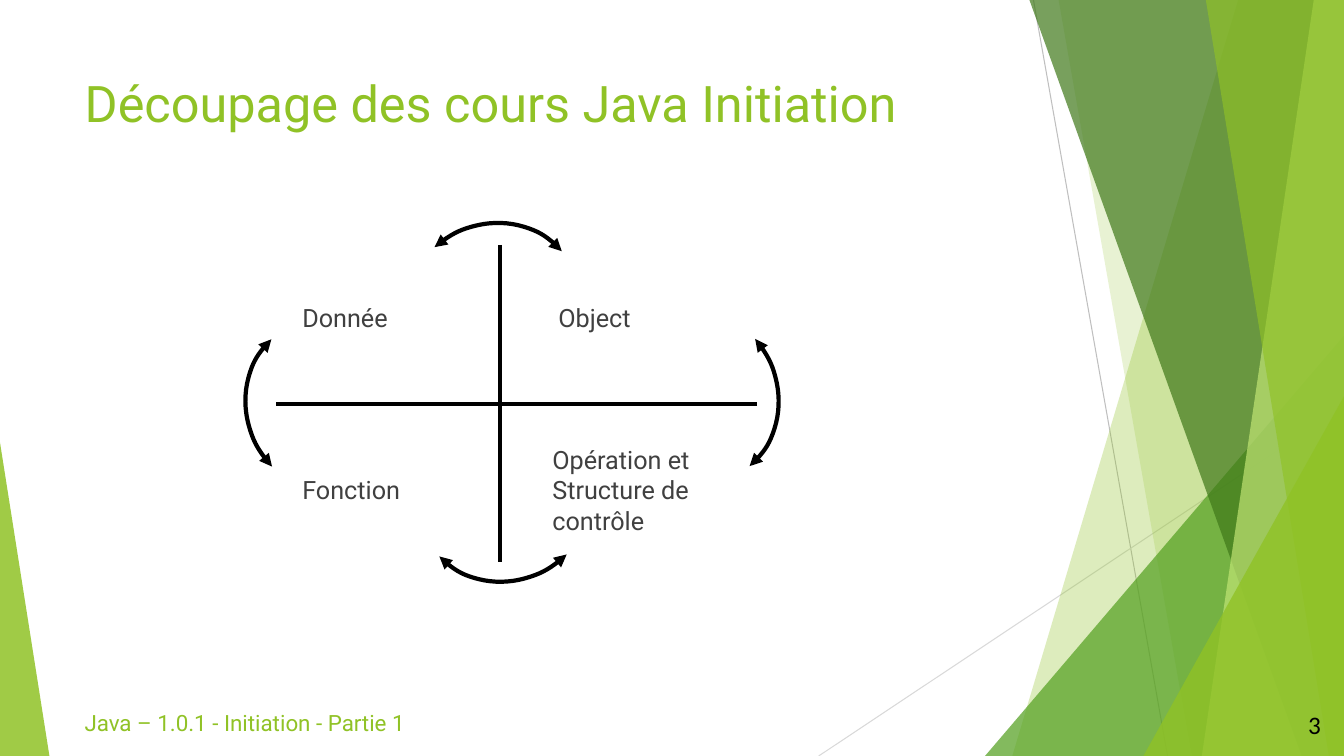
from dataclasses import dataclass

from lxml import etree
from pptx import Presentation
from pptx.dml.color import RGBColor
from pptx.enum.shapes import MSO_CONNECTOR, MSO_SHAPE
from pptx.enum.text import MSO_ANCHOR, MSO_AUTO_SIZE, PP_ALIGN
from pptx.oxml.ns import qn
from pptx.slide import Slide
from pptx.util import Inches, Pt

STRAIGHT = MSO_CONNECTOR.STRAIGHT
ARC = MSO_SHAPE.ARC
TOP, MIDDLE = MSO_ANCHOR.TOP, MSO_ANCHOR.MIDDLE
LEFT, RIGHT = PP_ALIGN.LEFT, PP_ALIGN.RIGHT
NO_AUTOSIZE = MSO_AUTO_SIZE.NONE
W, H = 13.33, 7.5


@dataclass(frozen=True)
class Theme:
    lime: str = "90C226"
    green: str = "54A021"
    forest: str = "3F7819"
    pale: str = "C0E474"
    body: str = "404040"
    black: str = "000000"
    grey: str = "BFBFBF"
    light_grey: str = "D9D9D9"
    font: str = "Roboto"
    number_font: str = "Calibri"
    title_size: float = 36
    body_size: float = 18
    footer_size: float = 16
    axis_width: float = 3
    hairline: float = 0.75


T = Theme()


@dataclass(frozen=True)
class Facet:
    points: tuple[tuple[float, float], ...]
    color: str
    opacity: int


@dataclass(frozen=True)
class Line:
    start: tuple[float, float]
    end: tuple[float, float]
    color: str = T.black
    width: float = T.axis_width


@dataclass(frozen=True)
class Label:
    text: str
    box: tuple[float, float, float, float]
    size: float = T.body_size
    color: str = T.body
    font: str = T.font
    align: PP_ALIGN = LEFT
    anchor: MSO_ANCHOR = TOP


@dataclass(frozen=True)
class Arc:
    left: float
    top: float
    rotation: float


def right_band(top_x: float, bottom_x: float) -> tuple[tuple[float, float], ...]:
    return (top_x, 0), (W, 0), (W, H), (bottom_x, H)


def right_corner(bottom_x: float, right_y: float) -> tuple[tuple[float, float], ...]:
    return (bottom_x, H), (W, right_y), (W, H)


RAYS = [
    Line((10.25, 0), (11.58, H), T.grey, T.hairline),
    Line((W, 4.03), (8.12, H), T.light_grey, T.hairline),
]
FACETS = [
    Facet(right_band(12.28, 10.04), T.lime, 30),
    Facet(right_band(10.5, 11.82), T.lime, 20),
    Facet(right_corner(9.77, 3.33), T.green, 72),
    Facet(right_band(10.21, 12.91), T.forest, 70),
    Facet(right_band(13.03, 11.92), T.pale, 70),
    Facet(right_band(11.96, 13.18), T.lime, 65),
    Facet(right_corner(11.34, 3.93), T.lime, 80),
    Facet(((0, H), (0, 4.39), (0.49, H)), T.lime, 85),
]
TITLE = Label("Découpage des cours Java Initiation", (0.74, 0.67, 9.4, 1.44),
              T.title_size, T.lime)
LABELS = [
    Label("Donnée", (2.9, 2.95, 1.2, 0.4)),
    Label("Object", (5.44, 2.95, 1.37, 0.4)),
    Label("Fonction", (2.9, 4.66, 1.37, 0.4)),
    Label("Opération et Structure de contrôle", (5.38, 4.36, 1.85, 1.22)),
    Label("Java – 1.0.1 - Initiation - Partie 1", (0.74, 6.99, 6.55, 0.4),
          T.footer_size, T.lime),
    Label("3", (12.45, 6.99, 0.75, 0.4), color=T.black, font=T.number_font,
          align=RIGHT, anchor=MIDDLE),
]
AXES = [Line((4.96, 2.43), (4.96, 5.58)), Line((7.51, 4.01), (2.74, 4.01))]
ARC_SIZE = (1.85, 1.72)
ARCS = [
    Arc(3.95, 2.24, 318.9),
    Arc(5.91, 3.06, 49.6),
    Arc(4.1, 4.02, 136.2),
    Arc(2.4, 3.18, 226.8),
]


def rgb(color: str) -> RGBColor:
    return RGBColor.from_string(color)


def apply(target: object, values: dict[str, object]) -> None:
    for name, value in values.items():
        setattr(target, name, value)


def add_line(s: Slide, line: Line) -> None:
    ends = [Inches(v) for v in (*line.start, *line.end)]
    cxn = s.shapes.add_connector(STRAIGHT, *ends)
    cxn.line.color.rgb = rgb(line.color)
    cxn.line.width = Pt(line.width)
    etree.SubElement(cxn._element.spPr, qn("a:effectLst"))


def add_facet(s: Slide, facet: Facet) -> None:
    first, *rest = [(Inches(x), Inches(y)) for x, y in facet.points]
    builder = s.shapes.build_freeform(*first)
    builder.add_line_segments(rest, close=True)
    sp = builder.convert_to_shape()
    sp.shadow.inherit = False
    sp.fill.solid()
    sp.fill.fore_color.rgb = rgb(facet.color)
    sp.line.fill.background()
    color = sp._element.spPr.find(qn("a:solidFill")).find(qn("a:srgbClr"))
    etree.SubElement(color, qn("a:alpha"), val=str(facet.opacity * 1000))


def add_arc(s: Slide, arc: Arc) -> None:
    box = [Inches(v) for v in (arc.left, arc.top, *ARC_SIZE)]
    sp = s.shapes.add_shape(ARC, *box)
    sp.rotation = arc.rotation
    sp.shadow.inherit = False
    sp.fill.background()
    sp.line.color.rgb = rgb(T.black)
    sp.line.width = Pt(T.axis_width)
    ln = sp._element.spPr.find(qn("a:ln"))
    for end in ("a:headEnd", "a:tailEnd"):
        etree.SubElement(ln, qn(end), type="triangle")


def write(sp, label: Label) -> None:
    apply(sp, dict(zip(("left", "top", "width", "height"), map(Inches, label.box))))
    tf = sp.text_frame
    apply(tf, {"word_wrap": True, "auto_size": NO_AUTOSIZE,
               "vertical_anchor": label.anchor})
    p = tf.paragraphs[0]
    p.alignment = label.align
    r = p.add_run()
    r.text = label.text
    apply(r.font, {"name": label.font, "size": Pt(label.size)})
    r.font.color.rgb = rgb(label.color)


def main() -> None:
    prs = Presentation()
    apply(prs, {"slide_width": Inches(W), "slide_height": Inches(H)})
    s = prs.slides.add_slide(prs.slide_layouts.get_by_name("Title Only"))
    for ray in RAYS:
        add_line(s, ray)
    for facet in FACETS:
        add_facet(s, facet)
    write(s.shapes.title, TITLE)
    for axis in AXES:
        add_line(s, axis)
    for arc in ARCS:
        add_arc(s, arc)
    for label in LABELS:
        write(s.shapes.add_textbox(*map(Inches, label.box)), label)
    prs.save("out.pptx")


if __name__ == "__main__":
    main()
